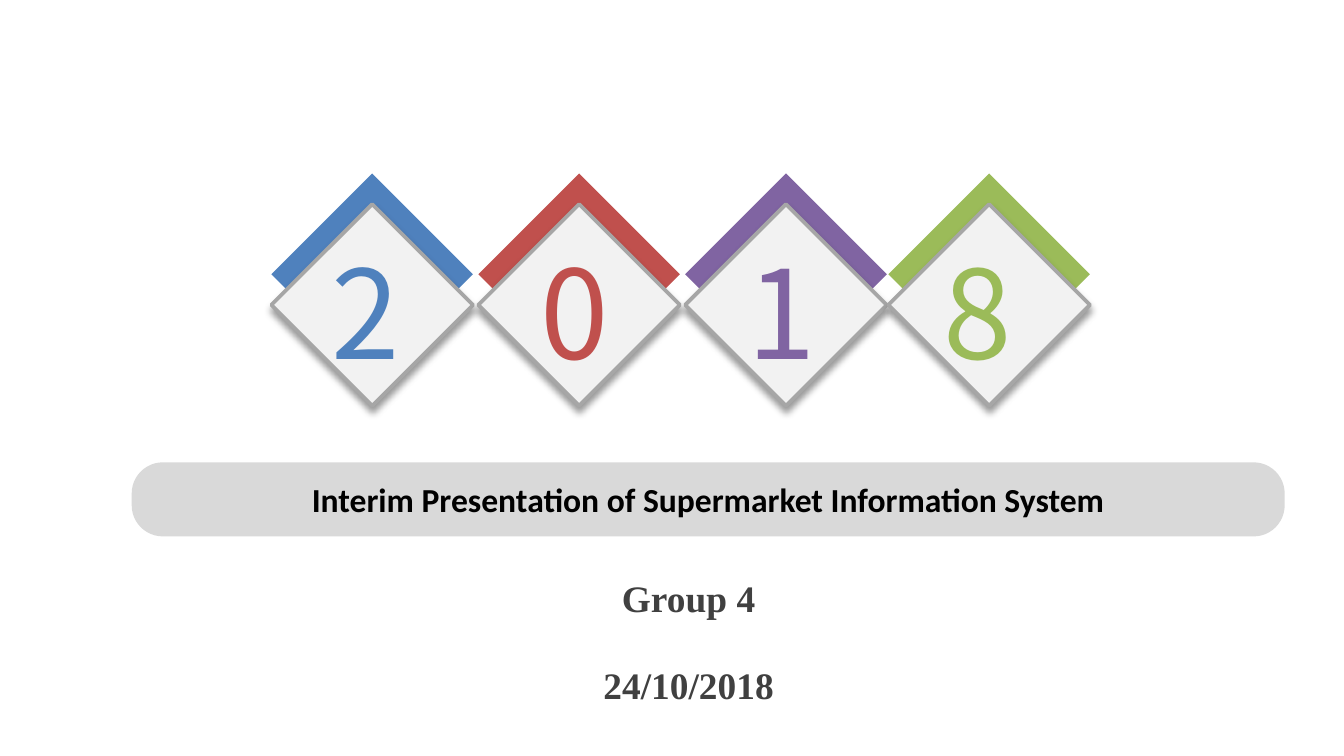
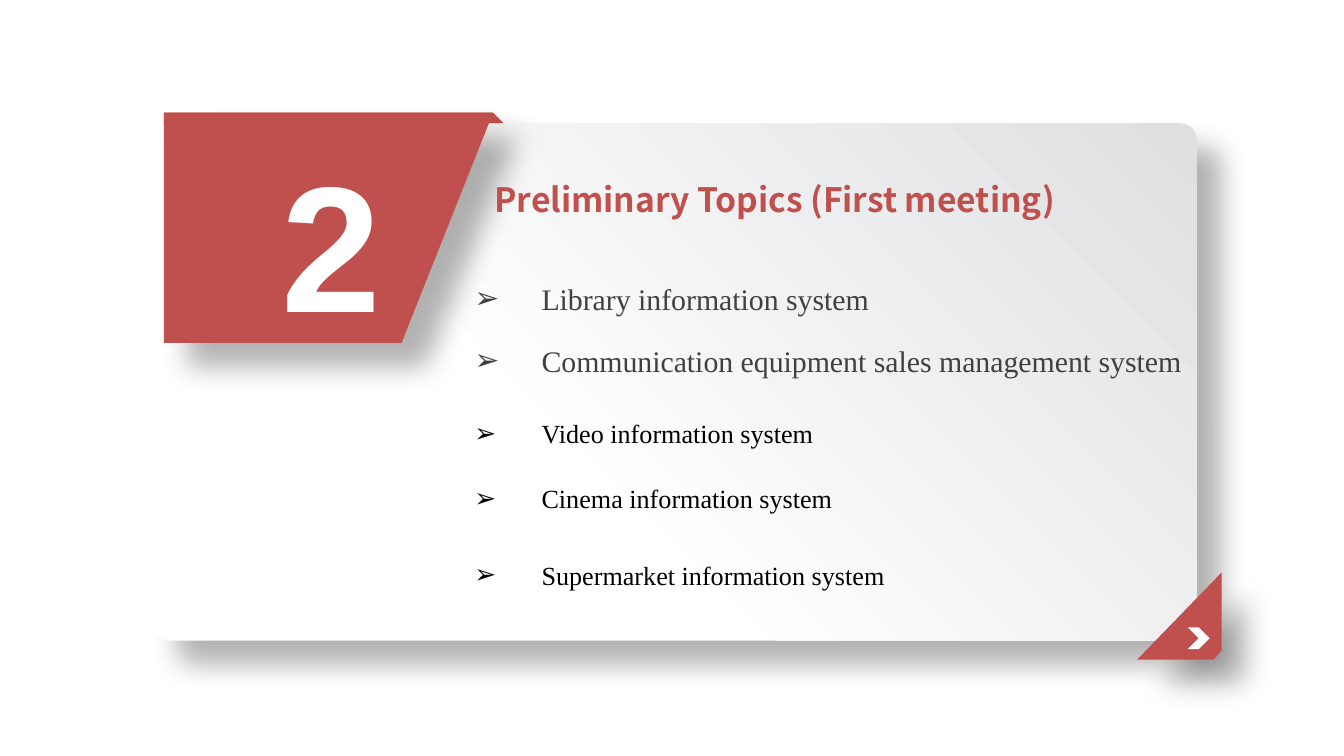
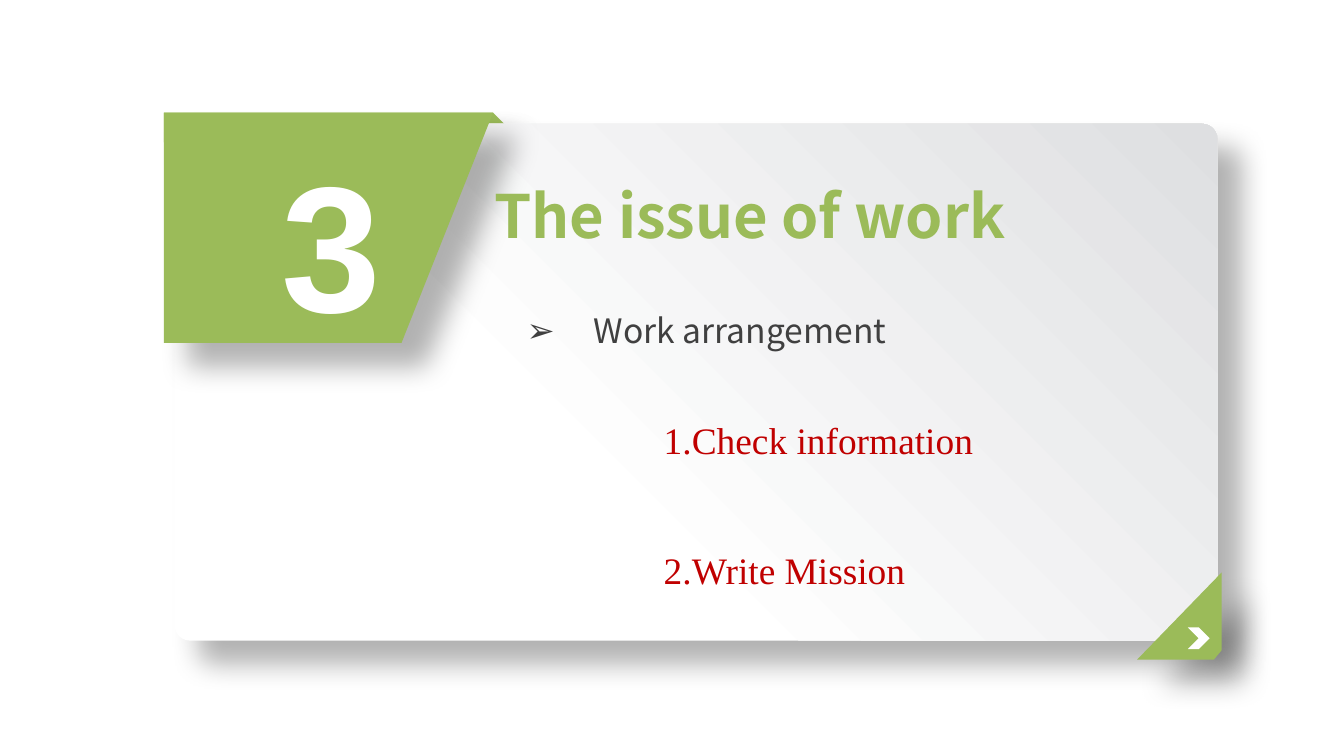
from dataclasses import dataclass

from lxml.etree import SubElement
from pptx import Presentation
from pptx.dml.color import RGBColor as RGB
from pptx.enum.shapes import MSO_SHAPE as SHAPE
from pptx.enum.text import MSO_ANCHOR as ANCHOR
from pptx.enum.text import MSO_AUTO_SIZE as AUTO
from pptx.enum.text import PP_ALIGN as ALIGN
from pptx.oxml import parse_xml
from pptx.oxml.ns import nsdecls, qn
from pptx.util import Cm, Pt


@dataclass(frozen=True)
class Theme:
    # Colours
    blue: str = "4F81BD"
    red: str = "C0504D"
    purple: str = "8064A2"
    green: str = "9BBB59"
    tile: str = "F2F2F2"
    tile_line: str = "A6A6A6"
    bar: str = "D9D9D9"
    card_dark: str = "DEDFE1"
    white: str = "FFFFFF"
    black: str = "000000"
    text: str = "404040"
    task: str = "C00000"
    # Fonts
    sans: str = "Noto Sans CJK SC"
    serif: str = "Times New Roman"
    cover: str = "Calibri"
    number: str = "Arial"
    # Type sizes
    number_size: int = 96
    digit_size: int = 66
    big_title: int = 32
    large: int = 20
    title: int = 18
    item: int = 16
    small_item: int = 14
    # Shadows: opacity %, blur, distance, angle
    tile_shadow: tuple = (40, 4, 3, 90)
    card_shadow: tuple = (30, 15, 18, 45)


T = Theme()


# Shapes
def style(sp, fill, line=None, shadow=None):
    sp.fill.solid()
    sp.fill.fore_color.rgb = RGB.from_string(fill)
    if line:
        sp.line.color.rgb = RGB.from_string(line)
        sp.line.width = Pt(2)
    else:
        sp.line.fill.background()
    sp.shadow.inherit = False
    if shadow:
        opacity, blur, dist, angle = shadow
        effects = sp._element.spPr.find(qn("a:effectLst"))
        outer = SubElement(effects, qn("a:outerShdw"), blurRad=str(Pt(blur)),
                           dist=str(Pt(dist)), dir=str(angle * 60000),
                           algn="tl", rotWithShape="0")
        color = SubElement(outer, qn("a:srgbClr"), val=T.black)
        SubElement(color, qn("a:alpha"), val=str(opacity * 1000))
    return sp


def add_preset(slide, kind, box, fill, line=None, shadow=None):
    sp = slide.shapes.add_shape(kind, *map(Cm, box))
    return style(sp, fill, line, shadow)


def add_outline(slide, points, fill):
    start, *rest = [(Cm(x), Cm(y)) for x, y in points]
    builder = slide.shapes.build_freeform(*start)
    builder.add_line_segments(rest, close=True)
    return style(builder.convert_to_shape(), fill, shadow=T.card_shadow)


def set_corner_gradient(sp, corner, outer):
    solid = sp._element.spPr.find(qn("a:solidFill"))
    solid.getparent().replace(solid, parse_xml(
        f'<a:gradFill {nsdecls("a")} rotWithShape="1"><a:gsLst>'
        f'<a:gs pos="0"><a:srgbClr val="{corner}"/></a:gs>'
        f'<a:gs pos="64000"><a:srgbClr val="{outer}"/></a:gs></a:gsLst>'
        '<a:path path="circle"><a:fillToRect l="100000" b="100000"/></a:path>'
        '</a:gradFill>'))


# Text
def format_paragraph(p, font, size, color, bold=False, align=ALIGN.LEFT, before=0):
    p.alignment = align
    p.space_before = Pt(before)
    for r in p.runs:
        r.font.name = font
        r.font.size = Pt(size)
        r.font.bold = bold
        r.font.color.rgb = RGB.from_string(color)


def set_indent(p, left, first=0, bullet=None):
    pPr = p._p.get_or_add_pPr()
    pPr.set("marL", str(Cm(left)))
    pPr.set("indent", str(Cm(first)))
    if bullet:
        SubElement(pPr, qn("a:buChar"), char=bullet)
    else:
        SubElement(pPr, qn("a:buNone"))


def add_label(slide, box, text, font, size, color, bold=False):
    tf = slide.shapes.add_textbox(*map(Cm, box)).text_frame
    tf.word_wrap = False
    tf.auto_size = AUTO.SHAPE_TO_FIT_TEXT
    tf.text = text
    format_paragraph(tf.paragraphs[0], font, size, color, bold)


def fill_placeholder(slide, idx, box, lines, anchor=ANCHOR.TOP):
    """Place a placeholder above the shapes drawn so far; return its paragraphs."""
    sp = slide.placeholders[idx]
    sp.left, sp.top, sp.width, sp.height = map(Cm, box)
    slide.shapes._spTree.append(sp._element)
    tf = sp.text_frame
    tf.word_wrap = True
    tf.auto_size = AUTO.NONE
    tf.vertical_anchor = anchor
    tf.text = "\n".join(lines)
    return tf.paragraphs


def add_bullets(slide, idx, box, items, font):
    """Items are (text, size, colour, space before)."""
    paragraphs = fill_placeholder(slide, idx, box, [item[0] for item in items])
    for p, (_, size, color, before) in zip(paragraphs, items):
        format_paragraph(p, font, size, color, before=before)
        set_indent(p, 1.27, -1.27, "➢")


# Numbered card shared by the topic slides
def add_card(slide, number, color, left, title, title_size):
    add_outline(slide, [(3.1, 2.13), (9.32, 2.13), (9.88, 2.69), (3.1, 2.69)], color)
    card = add_preset(slide, SHAPE.ROUNDED_RECTANGLE, (left, 2.34, 19.71, 9.77),
                      T.white, shadow=T.card_shadow)
    card.adjustments[0] = 0.03
    set_corner_gradient(card, T.card_dark, T.white)
    add_outline(slide, [(23.09, 10.82), (21.49, 12.47), (22.94, 12.47),
                        (23.09, 12.29)], color)
    add_outline(slide, [(3.1, 2.13), (9.32, 2.13), (7.59, 6.48), (3.1, 6.48)], color)
    add_preset(slide, SHAPE.CHEVRON, (22.45, 11.86, 0.41, 0.41), T.white)
    add_label(slide, (5.08, 2.39, 2.41, 4.37), number, T.number,
              T.number_size, T.white, True)
    p = fill_placeholder(slide, 0, (9.09, 3.25, 11.4, 1.63), [title])[0]
    format_paragraph(p, T.sans, title_size, color, True)


# Slides
def add_cover(prs):
    slide = prs.slides.add_slide(prs.slide_layouts[0])
    # Digit, colour, left of the tile, left of the digit
    year = [("2", T.blue, 5.13, 6.02), ("0", T.red, 9.04, 9.96),
            ("1", T.purple, 12.95, 13.87), ("8", T.green, 16.79, 17.58)]
    for digit, color, left, digit_left in year:
        add_preset(slide, SHAPE.FLOWCHART_DECISION, (left, 3.28, 3.81, 3.81), color)
        add_preset(slide, SHAPE.FLOWCHART_DECISION, (left, 3.86, 3.81, 3.81),
                   T.tile, T.tile_line, T.tile_shadow)
        add_label(slide, (digit_left, 4.34, 2, 3.07), digit, T.sans,
                  T.digit_size, color)

    # Group and date
    lines = fill_placeholder(slide, 1, (5.69, 10.74, 11.4, 2.82),
                             ["Group 4", "24/10/2018"])
    for p, before in zip(lines, (0, 23)):
        format_paragraph(p, T.serif, T.large, T.text, True, ALIGN.CENTER, before)
        set_indent(p, 3.25)

    # Title on its bar
    box = (2.49, 8.74, 21.79, 1.4)
    bar = add_preset(slide, SHAPE.ROUNDED_RECTANGLE, box, T.bar)
    bar.adjustments[0] = 0.42
    p = fill_placeholder(slide, 0, box,
                         ["Interim Presentation of Supermarket Information System"],
                         ANCHOR.MIDDLE)[0]
    format_paragraph(p, T.cover, T.title, T.black, True, ALIGN.CENTER)


def add_topics(prs):
    slide = prs.slides.add_slide(prs.slide_layouts[1])
    add_card(slide, "2", T.red, 2.9, "Preliminary Topics (First meeting)", T.title)
    add_bullets(slide, 1, (8.71, 5.18, 14.2, 6.02), [
        ("Library information system", T.item, T.text, 0),
        ("Communication equipment sales management system", T.item, T.text, 14),
        ("Video information system", T.small_item, T.black, 21),
        ("Cinema information system", T.small_item, T.black, 18),
        ("Supermarket information system", T.small_item, T.black, 24),
    ], T.serif)


def add_work(prs):
    slide = prs.slides.add_slide(prs.slide_layouts[3])
    add_card(slide, "3", T.green, 3.3, "The issue of work", T.big_title)
    add_bullets(slide, 1, (9.7, 5.74, 7.59, 1.02),
                [("Work arrangement", T.title, T.text, 0)], T.sans)
    tasks = fill_placeholder(slide, 2, (12.29, 7.75, 7.19, 3.68),
                             ["1.Check information", "2.Write Mission"])
    for p, before in zip(tasks, (0, 46)):
        format_paragraph(p, T.serif, T.large, T.task, before=before)
        set_indent(p, 0)


def main():
    prs = Presentation()
    prs.slide_width, prs.slide_height = Cm(25.4), Cm(14.29)
    add_cover(prs)
    add_topics(prs)
    add_work(prs)
    prs.save("out.pptx")


if __name__ == "__main__":
    main()
